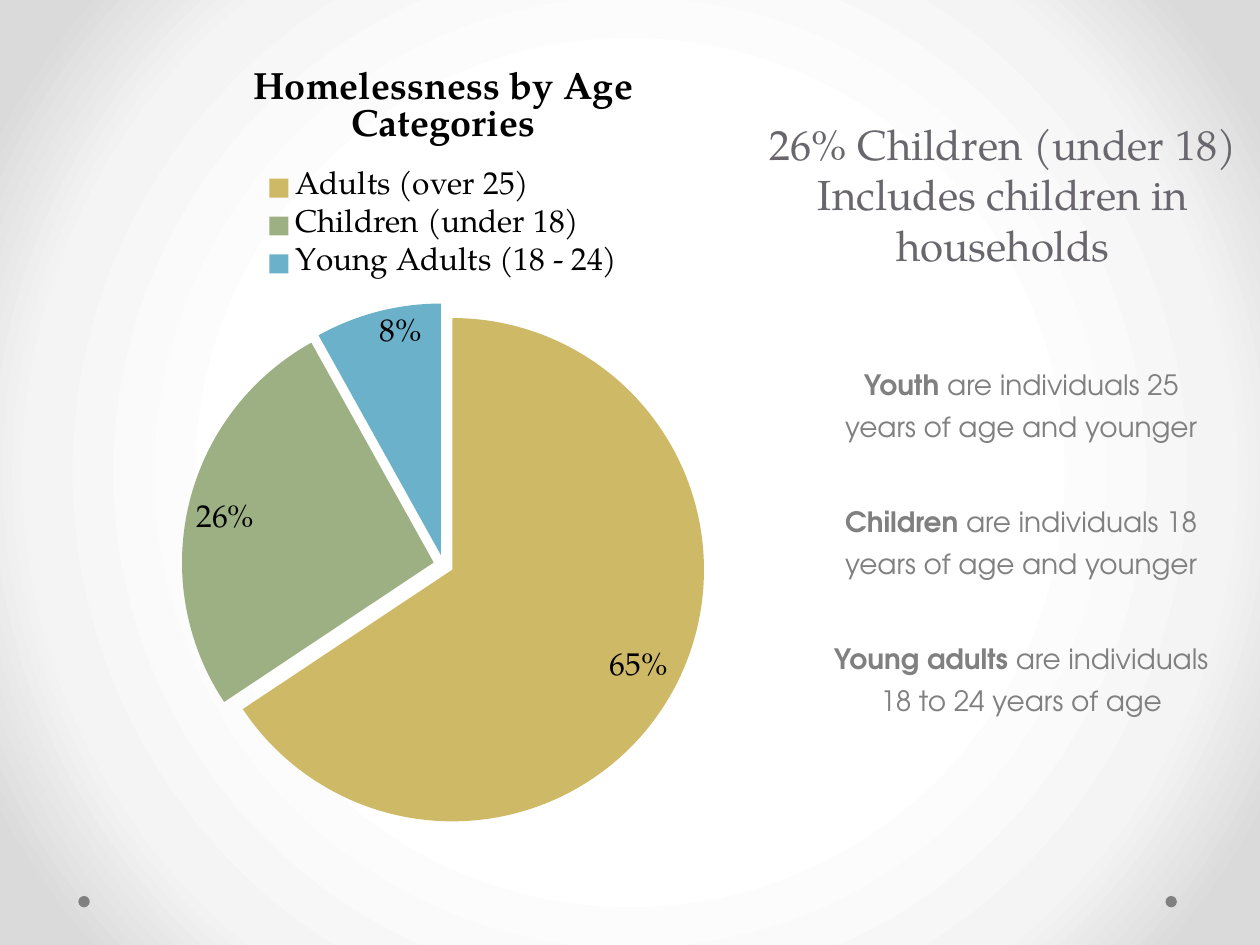
"""Build a slide on homelessness by age with a pie chart and definitions."""
import pptx
import pptx.chart.data
import pptx.dml.color
import pptx.enum.chart
import pptx.enum.shapes
import pptx.enum.text
import pptx.oxml
import pptx.oxml.ns
import pptx.util

Pt = pptx.util.Pt
COLOURS = {
    "title": "69676D", "body": "808080", "dot": "808080", "chart": "000000",
    "adults": "CEB966", "children": "9CB084", "young": "6BB1C9",
    "centre": "FFFFFF", "middle": "F4F4F4", "edge": "DADADA",
}
SERIF = "TeX Gyre Pagella"
SANS = "TeX Gyre Adventor"
CHART_TITLE = "Homelessness by Age Categories"
AGE_GROUPS = [
    ("Adults (over 25)", 65, "adults"),
    ("Children (under 18)", 26, "children"),
    ("Young Adults (18 - 24)", 8, "young"),
]
DEFINITIONS = [
    ("Youth", " are individuals 25 years of age and younger"),
    ("Children", " are individuals 18 years of age and younger"),
    ("Young adults ", "are individuals 18 to 24 years of age"),
]


def rgb(name):
    return pptx.dml.color.RGBColor.from_string(COLOURS[name])


def style_font(font, face, size, colour, bold=False):
    font.name = face
    font.size = Pt(size)
    font.bold = bold
    font.color.rgb = rgb(colour)


def add_run(paragraph, text, face, size, colour, bold=False):
    run = paragraph.add_run()
    run.text = text
    style_font(run.font, face, size, colour, bold)


def set_background(slide):
    stops = "".join(
        f'<a:gs pos="{position}000"><a:srgbClr val="{COLOURS[name]}"/></a:gs>'
        for position, name in ((50, "centre"), (76, "middle"), (92, "edge"))
    )
    background = pptx.oxml.parse_xml(
        f'<p:bg {pptx.oxml.ns.nsdecls("p", "a")}><p:bgPr><a:gradFill rotWithShape="1">'
        f'<a:gsLst>{stops}</a:gsLst><a:path path="circle">'
        '<a:fillToRect l="50000" t="50000" r="50000" b="50000"/></a:path>'
        "</a:gradFill><a:effectLst/></p:bgPr></p:bg>"
    )
    slide.element.cSld.insert(0, background)


def add_dot(slide, left):
    dot = slide.shapes.add_shape(
        pptx.enum.shapes.MSO_SHAPE.OVAL, Pt(left), Pt(512), Pt(6.5), Pt(6.5)
    )
    dot.shadow.inherit = False
    dot.fill.solid()
    dot.fill.fore_color.rgb = rgb("dot")
    dot.line.fill.background()


def set_title(slide, text):
    title = slide.shapes.title
    title.left, title.top, title.width, title.height = Pt(426.2), Pt(1.4), Pt(293.8), Pt(156.2)
    frame = title.text_frame
    frame.auto_size = pptx.enum.text.MSO_AUTO_SIZE.NONE
    frame.word_wrap = True
    frame.vertical_anchor = pptx.enum.text.MSO_ANCHOR.BOTTOM
    paragraph = frame.paragraphs[0]
    paragraph.alignment = pptx.enum.text.PP_ALIGN.CENTER
    add_run(paragraph, text, SERIF, 24, "title")


def add_age_chart(slide):
    age_data = pptx.chart.data.CategoryChartData()
    age_data.categories = [label for label, _, _ in AGE_GROUPS]
    age_data.add_series(CHART_TITLE, [share for _, share, _ in AGE_GROUPS])
    chart = slide.shapes.add_chart(
        pptx.enum.chart.XL_CHART_TYPE.PIE, Pt(56.9), Pt(21.6), Pt(393.1), Pt(460.8), age_data
    ).chart
    style_font(chart.font, SERIF, 18, "chart")

    chart.has_title = True
    heading = chart.chart_title.text_frame.paragraphs[0]
    add_run(heading, CHART_TITLE, SERIF, 21.6, "chart", bold=True)
    chart.has_legend = True
    chart.legend.position = pptx.enum.chart.XL_LEGEND_POSITION.TOP
    chart.legend.include_in_layout = False

    plot = chart.plots[0]
    plot.vary_by_categories = True
    series = plot.series[0]
    explosion = pptx.oxml.parse_xml(
        f'<c:explosion {pptx.oxml.ns.nsdecls("c")} val="4"/>'
    )
    series._element.find(pptx.oxml.ns.qn("c:tx")).addnext(explosion)
    for index, (_, _, colour) in enumerate(AGE_GROUPS):
        fill = series.points[index].format.fill
        fill.solid()
        fill.fore_color.rgb = rgb(colour)

    plot.has_data_labels = True
    labels = plot.data_labels
    labels.show_value = True
    labels.number_format = '0"%"'
    labels.number_format_is_linked = False
    labels.position = pptx.enum.chart.XL_LABEL_POSITION.INSIDE_END
    style_font(labels.font, SERIF, 18, "chart")


def add_definitions(slide):
    frame = slide.shapes.add_textbox(Pt(465.1), Pt(174.2), Pt(236.9), Pt(308.2)).text_frame
    frame.word_wrap = True
    frame.margin_top = Pt(30.8)
    for index, (term, meaning) in enumerate(DEFINITIONS):
        paragraph = frame.add_paragraph() if index else frame.paragraphs[0]
        paragraph.alignment = pptx.enum.text.PP_ALIGN.CENTER
        paragraph.line_spacing = 1.25
        paragraph.space_before = Pt(30.4 if index else 0)
        add_run(paragraph, term, SANS, 16, "body", bold=True)
        add_run(paragraph, meaning, SANS, 16, "body")


def main():
    presentation = pptx.Presentation()
    presentation.slide_width, presentation.slide_height = Pt(720), Pt(540)
    slide = presentation.slides.add_slide(presentation.slide_layouts[5])
    set_background(slide)
    for left in (666, 44.8):
        add_dot(slide, left)
    set_title(slide, "26% Children (under 18) Includes children in households")
    add_age_chart(slide)
    add_definitions(slide)
    presentation.save("out.pptx")


if __name__ == "__main__":
    main()
